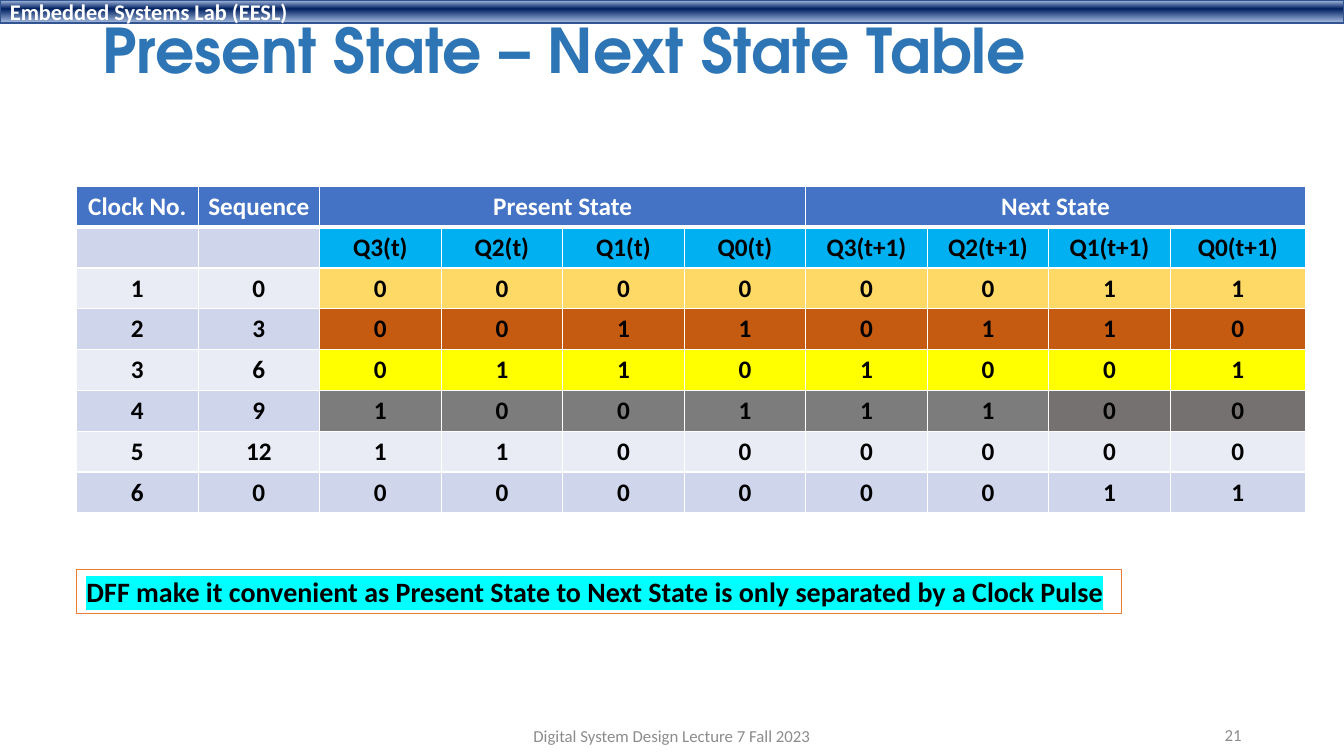
"""Build the present state and next state table slide."""
from dataclasses import dataclass

from lxml import etree
from pptx import Presentation
from pptx.dml.color import RGBColor
from pptx.enum.shapes import MSO_SHAPE
from pptx.enum.text import MSO_ANCHOR, MSO_AUTO_SIZE, PP_ALIGN
from pptx.oxml.ns import qn
from pptx.util import Pt

RECT = MSO_SHAPE.RECTANGLE
MIDDLE, TOP = MSO_ANCHOR.MIDDLE, MSO_ANCHOR.TOP
LEFT, CENTER, RIGHT = PP_ALIGN.LEFT, PP_ALIGN.CENTER, PP_ALIGN.RIGHT
GROW = MSO_AUTO_SIZE.SHAPE_TO_FIT_TEXT

COLORS = {
    "white": "FFFFFF", "black": "000000", "title": "2E75B6", "footer": "8C8C8C",
    "bar_top": "ABC0E4", "bar_dark": "002060", "bar_end": "ACC1E5",
    "bar_line": "325491", "note_line": "ED7D31", "highlight": "00FFFF",
    "head": "4472C4", "subhead": "00B0F0", "band_dark": "CFD5EA",
    "band_light": "E9EBF5", "gold": "FFD966", "rust": "C55A11",
    "yellow": "FFFF00", "gray": "7C7C7C", "warm_gray": "767171",
}


@dataclass
class Label:
    """Text with its place and look."""
    text: str
    x: float
    y: float
    w: float
    h: float
    size: float
    color: str
    font: str = "Calibri"
    bold: bool = False
    align: PP_ALIGN = LEFT
    anchor: MSO_ANCHOR = MIDDLE
    spacing: float = 1.0


@dataclass
class Row:
    """One table row: texts, and fills of its three column groups."""
    texts: list[str]
    side: str
    main: str
    tail: str
    color: str = "black"


TITLE = Label("Present State – Next State Table", 66, 10.8, 828, 55.4, 44, "title",
              "TeX Gyre Adventor", True, spacing=0.9)
PAGE = Label("21", 678, 510.5, 216, 28.75, 12, "footer", align=RIGHT)
FOOTER = Label("Digital System Design Lecture 7 Fall 2023", 318, 511, 324, 28.75, 12,
               "footer", align=CENTER)
BAR = Label("Embedded Systems Lab (EESL)", 0, 0, 960, 16.6, 16, "white", bold=True)
NOTE = Label("DFF make it convenient as Present State to Next State is only "
             "separated by a Clock Pulse", 54.7, 406.8, 746.6, 31.5, 20, "black",
             bold=True, anchor=TOP)

BAR_STOPS = [(0, "bar_top"), (38, "bar_dark"), (100, "bar_end")]
BITS = ["Q3", "Q2", "Q1", "Q0"]
ROWS = [
    Row(["Clock No.", "Sequence", "Present State", "", "", "", "Next State", "", "", ""],
        "head", "head", "head", "white"),
    Row(["", ""] + [f"{b}({t})" for t in ("t", "t+1") for b in BITS],
        "band_dark", "subhead", "subhead"),
    Row("1 0 0 0 0 0 0 0 1 1".split(), "band_light", "gold", "gold"),
    Row("2 3 0 0 1 1 0 1 1 0".split(), "band_dark", "rust", "rust"),
    Row("3 6 0 1 1 0 1 0 0 1".split(), "band_light", "yellow", "yellow"),
    Row("4 9 1 0 0 1 1 1 0 0".split(), "band_dark", "gray", "warm_gray"),
    Row("5 12 1 1 0 0 0 0 0 0".split(), "band_light", "band_light", "band_light"),
    Row("6 0 0 0 0 0 0 0 1 1".split(), "band_dark", "band_dark", "band_dark"),
]
WIDTHS = [86.8] * 9 + [96.5]
ROW_HEIGHT = 29.16
TABLE_X, TABLE_Y = 54.7, 133.2


def rgb(name: str) -> RGBColor:
    """Return a named colour."""
    return RGBColor.from_string(COLORS[name])


def add_color(parent: etree._Element, name: str) -> None:
    """Append a named colour element."""
    etree.SubElement(parent, qn("a:srgbClr"), val=COLORS[name])


def style(p, size: float, color: str, font: str = "Calibri", bold: bool = False) -> None:
    """Set the font of a paragraph."""
    p.font.size, p.font.name, p.font.bold = Pt(size), font, bold
    p.font.color.rgb = rgb(color)


def write(s, label: Label, wrap: bool = True) -> None:
    """Put a label's text into a shape."""
    tf = s.text_frame
    tf.word_wrap, tf.vertical_anchor = wrap, label.anchor
    p = tf.paragraphs[0]
    p.add_run().text = label.text
    p.alignment, p.line_spacing = label.align, label.spacing
    style(p, label.size, label.color, label.font, label.bold)


def place(label: Label) -> tuple[Pt, Pt, Pt, Pt]:
    """Return the box of a label."""
    return Pt(label.x), Pt(label.y), Pt(label.w), Pt(label.h)


def add_box(slide, label: Label, line: str, wrap: bool = True):
    """Draw an outlined rectangle with text."""
    s = slide.shapes.add_shape(RECT, *place(label))
    s.shadow.inherit = False
    s.line.color.rgb = rgb(line)
    s.line.width = Pt(1)
    write(s, label, wrap)
    return s


def add_bar(slide) -> None:
    """Draw the gradient bar at the top."""
    s = add_box(slide, BAR, "bar_line")
    s.fill.gradient()
    s.fill.gradient_angle = 270
    stops = s._element.spPr.find(qn("a:gradFill")).find(qn("a:gsLst"))
    for stop in list(stops):
        stops.remove(stop)
    for pos, name in BAR_STOPS:
        add_color(etree.SubElement(stops, qn("a:gs"), pos=str(pos * 1000)), name)


def add_note(slide) -> None:
    """Draw the highlighted remark."""
    s = add_box(slide, NOTE, "note_line", False)
    s.fill.solid()
    s.fill.fore_color.rgb = rgb("white")
    s.text_frame.auto_size = GROW
    r = s.text_frame.paragraphs[0].runs[0]
    add_color(etree.SubElement(r._r.get_or_add_rPr(), qn("a:highlight")), "highlight")


def set_borders(cell, top: float, bottom: float) -> None:
    """Give a cell white borders."""
    tcPr = cell._tc.get_or_add_tcPr()
    for i, (side, width) in enumerate((("L", 1), ("R", 1), ("T", top), ("B", bottom))):
        ln = etree.Element(qn(f"a:ln{side}"), w=str(Pt(width)))
        add_color(etree.SubElement(ln, qn("a:solidFill")), "white")
        tcPr.insert(i, ln)


def add_state_table(slide) -> None:
    """Draw the state table."""
    table = slide.shapes.add_table(
        len(ROWS), len(WIDTHS), Pt(TABLE_X), Pt(TABLE_Y),
        Pt(sum(WIDTHS)), Pt(ROW_HEIGHT * len(ROWS))).table
    for column, width in zip(table.columns, WIDTHS):
        column.width = Pt(width)
    for i, row in enumerate(ROWS):
        table.rows[i].height = Pt(ROW_HEIGHT)
        fills = [row.side] * 2 + [row.main] * 6 + [row.tail] * 2
        for j, (text, fill) in enumerate(zip(row.texts, fills)):
            cell = table.cell(i, j)
            cell.fill.solid()
            cell.fill.fore_color.rgb = rgb(fill)
            set_borders(cell, 3 if i == 1 else 1, 3 if i == 0 else 1)
            p = cell.text_frame.paragraphs[0]
            if text:
                p.add_run().text = text
            p.alignment = CENTER
            style(p, 18, row.color, bold=True)
    for first in (2, 6):
        table.cell(0, first).merge(table.cell(0, first + 3))


def main() -> None:
    """Build and save the slide."""
    prs = Presentation()
    prs.slide_width, prs.slide_height = Pt(960), Pt(540)
    slide = prs.slides.add_slide(prs.slide_layouts[6])
    add_bar(slide)
    write(slide.shapes.add_textbox(*place(TITLE)), TITLE)
    add_state_table(slide)
    add_note(slide)
    for label in (PAGE, FOOTER):
        write(slide.shapes.add_textbox(*place(label)), label)
    prs.save("out.pptx")


if __name__ == "__main__":
    main()
